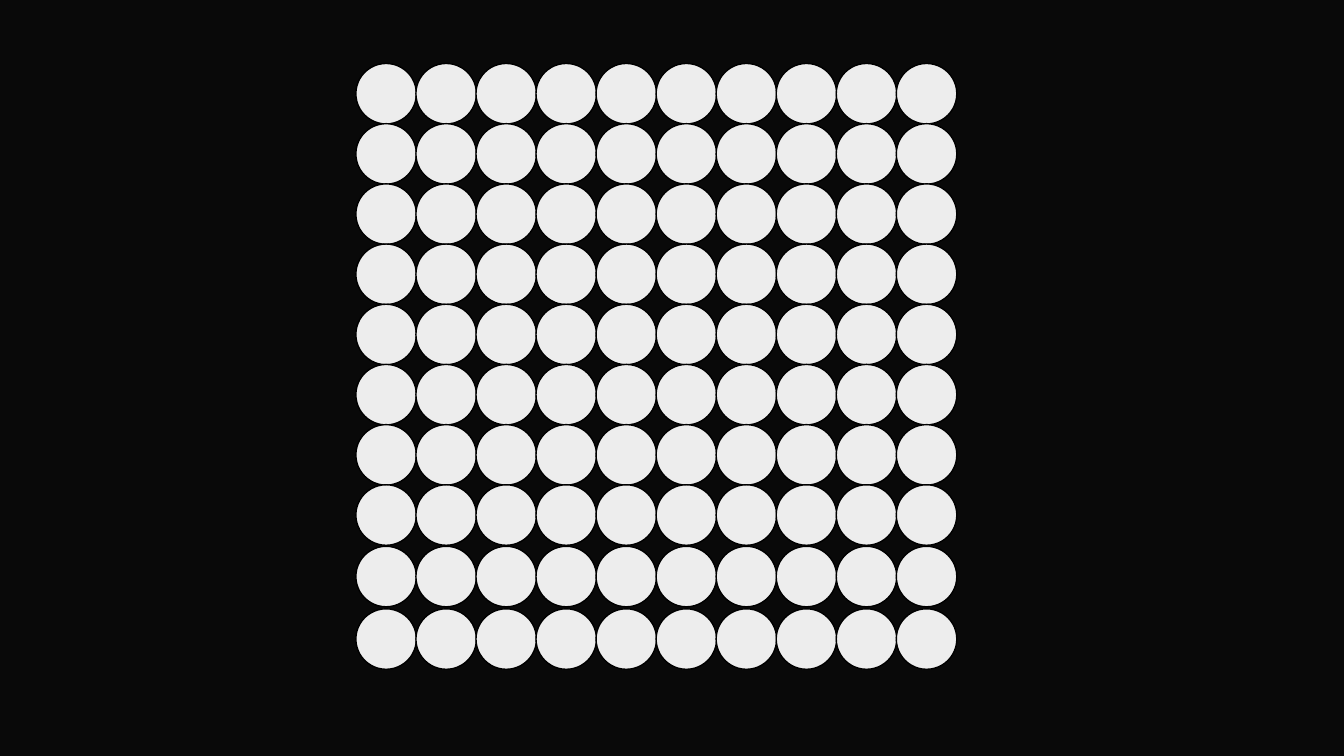
from dataclasses import dataclass

import pptx
import pptx.dml.color
import pptx.enum.shapes
import pptx.slide
import pptx.util

SLIDE_WIDTH, SLIDE_HEIGHT = 13.33, 7.5
DIAMETER = 0.6
BACKGROUND, DOT_FILL, DOT_LINE = "090909", "EDEDED", "000000"


@dataclass(frozen=True)
class Track:
    """Evenly spaced dot positions along one axis, in inches."""
    first: float
    last: float
    count: int

    def positions(self) -> list[float]:
        pitch = (self.last - self.first) / (self.count - 1)
        return [self.first + i * pitch for i in range(self.count)]


COLUMNS = Track(3.53, 8.89, 10)
ROW_BANDS = (Track(0.63, 4.81, 8), Track(5.42, 6.04, 2))


def rgb(value: str) -> pptx.dml.color.RGBColor:
    return pptx.dml.color.RGBColor.from_string(value)


def add_dot(s: pptx.slide.Slide, left: float, top: float) -> None:
    size = pptx.util.Inches(DIAMETER)
    sp = s.shapes.add_shape(
        pptx.enum.shapes.MSO_SHAPE.OVAL,
        pptx.util.Inches(left), pptx.util.Inches(top), size, size)
    sp.shadow.inherit = False
    sp.fill.solid()
    sp.fill.fore_color.rgb = rgb(DOT_FILL)
    sp.line.color.rgb = rgb(DOT_LINE)
    sp.line.width = pptx.util.Pt(1)


def main() -> None:
    prs = pptx.Presentation()
    prs.slide_width = pptx.util.Inches(SLIDE_WIDTH)
    prs.slide_height = pptx.util.Inches(SLIDE_HEIGHT)
    s = prs.slides.add_slide(prs.slide_layouts.get_by_name("Blank"))
    s.background.fill.solid()
    s.background.fill.fore_color.rgb = rgb(BACKGROUND)
    for band in ROW_BANDS:
        for top in band.positions():
            for left in COLUMNS.positions():
                add_dot(s, left, top)
    prs.save("out.pptx")


if __name__ == "__main__":
    main()
